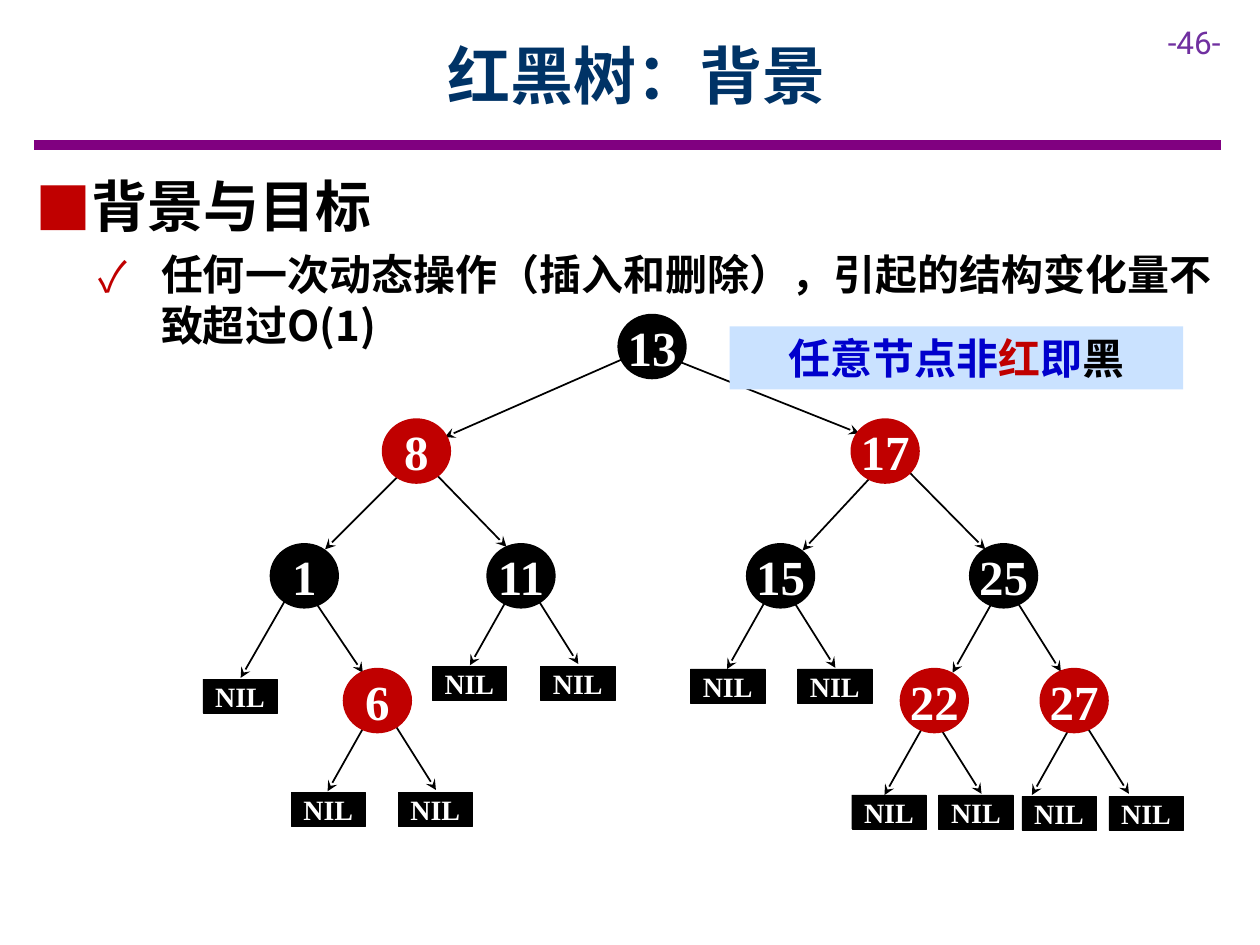
from lxml import etree
from pptx import Presentation, util as u
from pptx.dml import color
from pptx.enum import shapes, text
from pptx.oxml import ns

hex_color = color.RGBColor.from_string
BLACK, RED, WHITE = "000000", "C00000", "FFFFFF"
CJK, SERIF = "Noto Sans CJK SC", "Times New Roman"

deck = Presentation()
deck.slide_width, deck.slide_height = u.Inches(10), u.Inches(7.5)
page = deck.slides.add_slide(deck.slide_layouts[6])
COLUMNS = 100
cell = deck.slide_width / COLUMNS


def grid(*counts):
    return [round(count * cell) for count in counts]


def style(para, size, face, ink, bold=True, align=text.PP_ALIGN.LEFT):
    para.alignment = align
    font = para.font
    font.size, font.bold, font.name = u.Pt(size), bold, face
    font.color.rgb = hex_color(ink)
    defaults = para._p.pPr.find(ns.qn("a:defRPr"))
    etree.SubElement(defaults, ns.qn("a:ea"), typeface=face)


number = page.shapes.add_textbox(*grid(91.7, 1.3, 8.3, 4)).text_frame
number.text = "-46-"
style(number.paragraphs[0], 18, "Roboto", "7030A0", False)

title = page.shapes.add_textbox(*grid(9, 0.9, 83.1, 10)).text_frame
title.word_wrap = True
title.vertical_anchor = text.MSO_ANCHOR.MIDDLE
title.text = "红黑树：背景"
style(title.paragraphs[0], 36, CJK, "003366", align=text.PP_ALIGN.CENTER)

body = page.shapes.add_textbox(*grid(1.8, 13.1, 95.3, 15.3)).text_frame
body.word_wrap = True
body.text = "背景与目标\n任何一次动态操作（插入和删除），引起的结构变化量不致超过O(1)"
for para, size, margin, hang, mark in zip(
    body.paragraphs, (32, 24), (3.8, 10), (3.8, 5), "■✓"
):
    para.space_after = u.Pt(6)
    props = para._p.get_or_add_pPr()
    left, indent = grid(margin, -hang)
    props.set("marL", str(left))
    props.set("indent", str(indent))
    tint = etree.SubElement(props, ns.qn("a:buClr"))
    etree.SubElement(tint, ns.qn("a:srgbClr"), val=RED)
    etree.SubElement(props, ns.qn("a:buFont"), typeface=CJK)
    etree.SubElement(props, ns.qn("a:buChar"), char=mark)
    style(para, size, CJK, BLACK)

edges = [
    (51.7, 27.5, 35.3, 34.7), (52.9, 28.3, 68.2, 34.4),
    (33.2, 36.2, 25.8, 43.6), (33.4, 36.4, 40.2, 43.4),
    (70.2, 36.7, 63.7, 43.7), (71.3, 36.6, 78.2, 43.6),
    (23.7, 45.8, 19.1, 53.8), (24.5, 47, 28.8, 53.4),
]
fans = [
    (41.3, 41.5, 45.7), (61.7, 61.9, 46), (79.6, 79.8, 46.3),
    (30, 30.2, 55.7), (74.2, 73.5, 56), (85.9, 85.2, 56),
]
for left, right, top in fans:
    edges += [(left, top, left - 4, top + 7.1), (right, top, right + 4.4, top + 7)]

tree = page.shapes.add_group_shape().shapes
rule = page.shapes.add_connector(
    shapes.MSO_CONNECTOR.STRAIGHT, *grid(2.7, 11.5, 96.9, 11.5)
)
arrows = [tree.add_connector(shapes.MSO_CONNECTOR.STRAIGHT, *grid(*edge)) for edge in edges]
for line, ink, weight in [(rule, "800080", 6)] + [(arrow, BLACK, 1) for arrow in arrows]:
    line.line.color.rgb = hex_color(ink)
    line.line.width = u.Pt(weight)
    etree.SubElement(line._element.spPr, ns.qn("a:effectLst"))
for arrow in arrows:
    outline = arrow.line._get_or_add_ln()
    etree.SubElement(outline, ns.qn("a:tailEnd"), type="stealth")

circle, block = shapes.MSO_SHAPE.OVAL, shapes.MSO_SHAPE.RECTANGLE
nodes = [
    ("13", 49, 24.9, BLACK), ("8", 30.3, 33.2, RED), ("17", 67.5, 33.2, RED),
    ("11", 38.6, 43.1, BLACK), ("1", 21.4, 43.1, BLACK), ("6", 27.2, 53, RED),
    ("15", 59.2, 43.1, BLACK), ("25", 76.9, 43.1, BLACK),
    ("27", 82.5, 53, RED), ("22", 71.4, 53, RED),
]
leaves = [
    (16.1, 53.9), (23.1, 62.9), (31.6, 62.9), (34.3, 52.9), (42.9, 52.9), (54.8, 53.1),
    (63.3, 53.1), (67.6, 63.1), (74.5, 63.1), (81.1, 63.2), (88, 63.2),
]
parts = [(circle, label, left, top, 5.5, 5.2, fill, 28) for label, left, top, fill in nodes]
parts += [(block, "NIL", left, top, 5.9, 2.7, BLACK, 16) for left, top in leaves]
for kind, label, left, top, width, height, fill, size in parts:
    node = tree.add_shape(kind, *grid(left, top, width, height))
    node.shadow.inherit = False
    node.fill.solid()
    node.fill.fore_color.rgb = hex_color(fill)
    if kind == block:
        node.line.color.rgb = hex_color(BLACK)
        node.line.width = u.Pt(0.25)
    else:
        node.line.fill.background()
    frame = node.text_frame
    frame.margin_left = frame.margin_right = frame.margin_top = frame.margin_bottom = 0
    frame.word_wrap = False
    frame.vertical_anchor = text.MSO_ANCHOR.MIDDLE
    frame.text = label
    style(frame.paragraphs[0], size, SERIF, WHITE, align=text.PP_ALIGN.CENTER)

callout = page.shapes.add_textbox(*grid(57.9, 25.9, 36, 5))
callout.fill.solid()
callout.fill.fore_color.rgb = hex_color("CAE2FF")
callout.text_frame.word_wrap = True
para = callout.text_frame.paragraphs[0]
para.space_after = u.Pt(6)
style(para, 24, CJK, "0000CC", align=text.PP_ALIGN.CENTER)
for words, ink in [("任意节点非", "0000CC"), ("红", RED), ("即", "0000CC"), ("黑", BLACK)]:
    span = para.add_run()
    span.text = words
    span.font.color.rgb = hex_color(ink)

deck.save("out.pptx")
